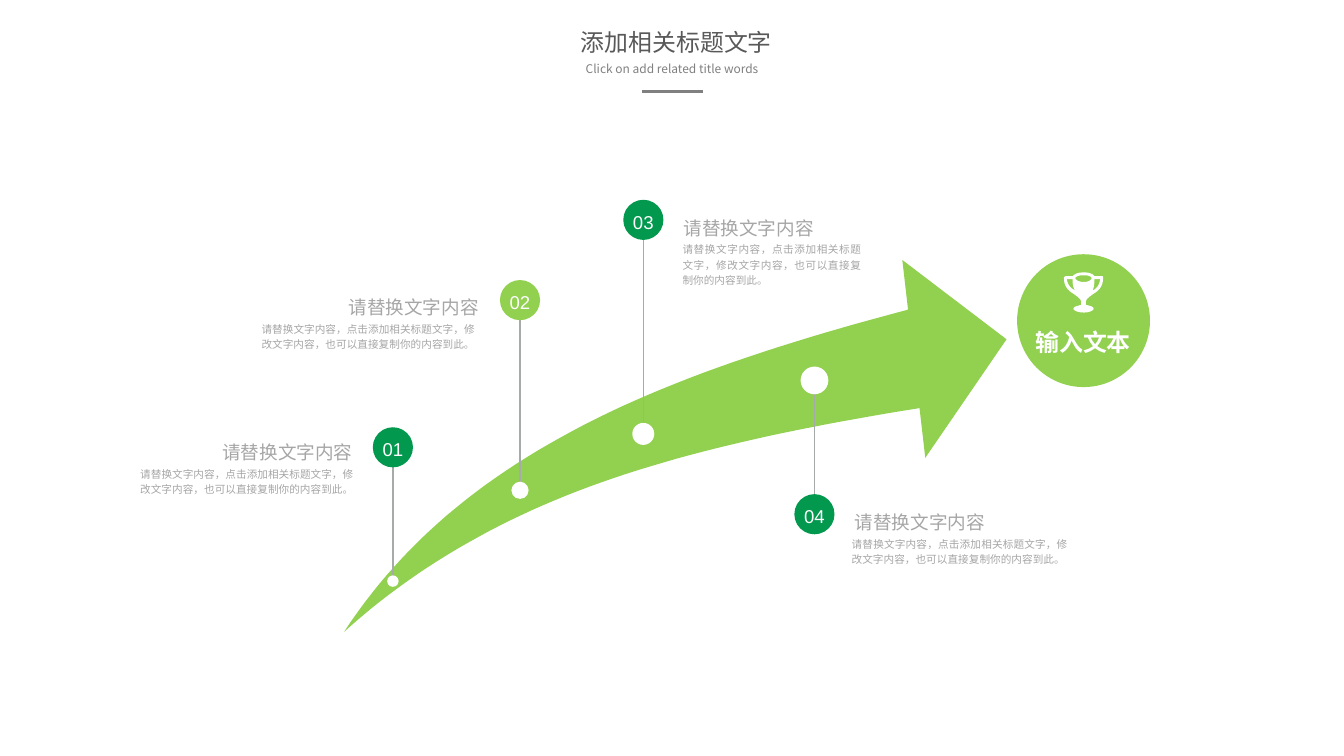
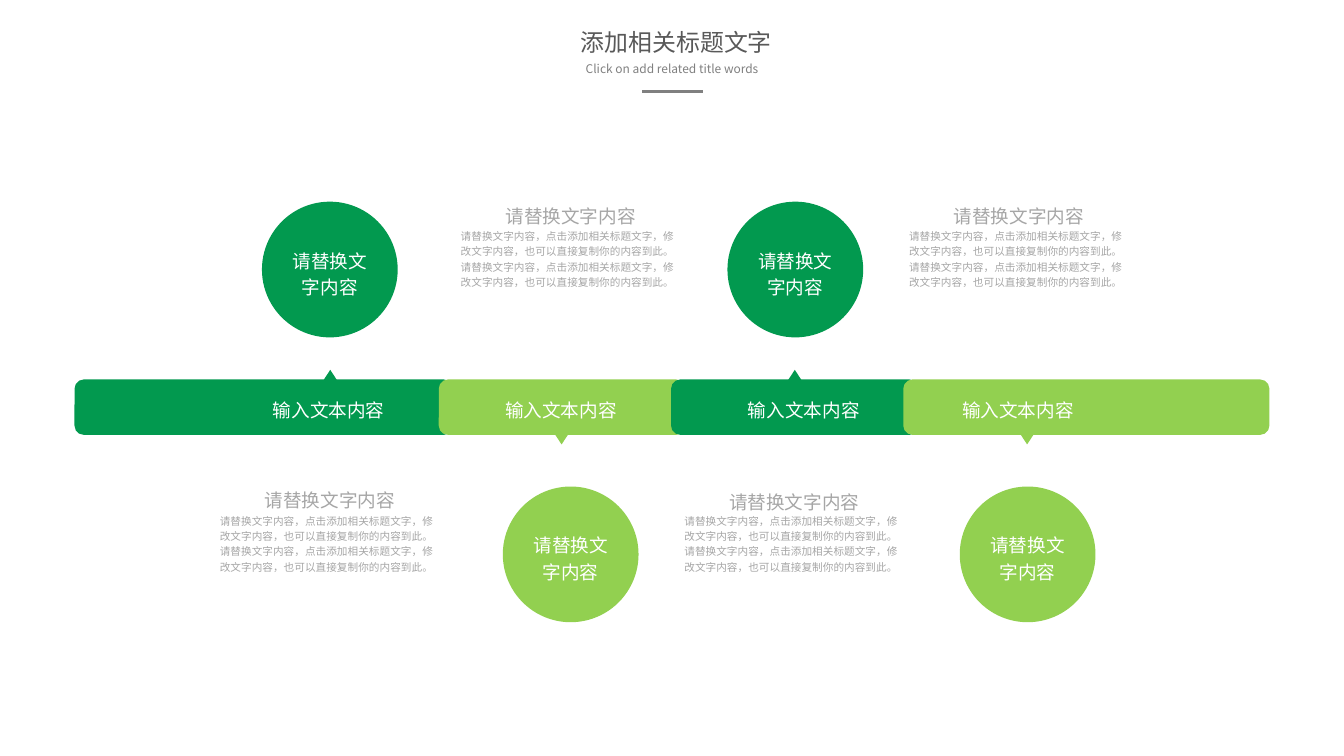
import pptx
import pptx.dml.color
import pptx.enum.shapes
import pptx.enum.text
import pptx.oxml
import pptx.oxml.ns
import pptx.util

Inches = pptx.util.Inches
KIND = pptx.enum.shapes.MSO_SHAPE
LINE = pptx.enum.shapes.MSO_CONNECTOR.STRAIGHT
ALIGN = pptx.enum.text.PP_ALIGN
ANCHOR = pptx.enum.text.MSO_ANCHOR
FIT = pptx.enum.text.MSO_AUTO_SIZE
CJK = "Noto Sans CJK SC"
HEX = {
    "dark": "02994F", "light": "92D050", "white": "FFFFFF", "pale": "FCFCFC",
    "text": "A6A6A6", "stem": "A6AAA9", "title": "595959", "sub": "808080",
}
HEAD = "请替换文字内容"
BODY = "请替换文字内容，点击添加相关标题文字，修改文字内容，也可以直接复制你的内容到此。"


def write(shape, text, size=14, color="text", align=ALIGN.LEFT, font="Arial",
          bold=False, anchor=ANCHOR.TOP, space=1.2, pad=(0, 0, 0, 0), grow=True):
    """Fill a shape with one formatted paragraph; pad is left, top, right, bottom."""
    frame = shape.text_frame
    frame.word_wrap = True
    frame.auto_size = FIT.SHAPE_TO_FIT_TEXT if grow else FIT.NONE
    frame.vertical_anchor = anchor
    frame.margin_left, frame.margin_top, frame.margin_right, frame.margin_bottom = map(Inches, pad)
    para = frame.paragraphs[0]
    para.alignment, para.line_spacing = align, space
    run = para.add_run()
    run.text = text
    run.font.name, run.font.size, run.font.bold = font, pptx.util.Pt(size), bold
    run.font.color.rgb = pptx.dml.color.RGBColor.from_string(HEX[color])
    east = pptx.oxml.parse_xml(f'<a:ea {pptx.oxml.ns.nsdecls("a")} typeface="{CJK}"/>')
    run.font._element.find(pptx.oxml.ns.qn("a:latin")).addnext(east)


def paint(shape, color, width=None):
    """Colour a line when a width is given, else fill a shape; no shadow."""
    rgb = pptx.dml.color.RGBColor.from_string(HEX[color])
    if width:
        shape.line.color.rgb = rgb
        shape.line.width = pptx.util.Pt(width)
        flat = pptx.oxml.parse_xml(f'<a:effectLst {pptx.oxml.ns.nsdecls("a")}/>')
        shape._element.spPr.append(flat)
    else:
        shape.shadow.inherit = False
        shape.fill.solid()
        shape.fill.fore_color.rgb = rgb
        shape.line.fill.background()
    return shape


deck = pptx.Presentation()
deck.slide_width, deck.slide_height = Inches(14.06), Inches(7.91)

# Shared heading
for _ in range(2):
    slide = deck.slides.add_slide(deck.slide_layouts[5])
    title = slide.shapes.title
    title.left, title.top, title.width, title.height = map(Inches, (5.85, 0.25, 2.45, 0.4))
    edge = (0.07, 0.04, 0.07, 0.04)
    write(title, "添加相关标题文字", size=18, color="title", align=ALIGN.CENTER,
          font=CJK, space=1.0, pad=edge)
    sub = slide.shapes.add_textbox(*map(Inches, (5.85, 0.6, 2.36, 0.23)))
    write(sub, "Click on add related title words", size=9, color="sub",
          align=ALIGN.CENTER, font=CJK, space=1.0, pad=edge)
    rule = slide.shapes.add_connector(LINE, *map(Inches, (6.72, 0.96, 7.35, 0.96)))
    paint(rule, "sub", width=2.25)

# Slide 1: rising arrow with four steps
shapes = deck.slides[0].shapes
goal = shapes.add_shape(KIND.OVAL, *map(Inches, (10.64, 2.66, 1.39, 1.39)))
paint(goal, "light")

# A contour is a start point, then segments of one point (line) or three (curve)
arrow = [[
    (3.6, 6.61),
    [(4.15, 5.77), (4.9, 5.11), (5.86, 4.58)], [(6.84, 4.03), (8.06, 3.62), (9.5, 3.24)],
    [(9.44, 2.72)], [(10.53, 3.55)], [(9.68, 4.79)], [(9.62, 4.27)],
    [(8.3, 4.48), (7.15, 4.73), (6.17, 5.09)], [(5.17, 5.46), (4.32, 5.96), (3.6, 6.61)],
]]
cup = [
    [(11.16, 2.92), [(11.22, 2.92)], [(11.22, 2.98), (11.23, 3.02), (11.25, 3.04)],
     [(11.21, 3.02), (11.17, 2.99), (11.16, 2.92)]],
    [(11.34, 2.88), [(11.4, 2.88), (11.42, 2.9), (11.42, 2.91)],
     [(11.42, 2.92), (11.4, 2.95), (11.34, 2.95)],
     [(11.27, 2.95), (11.25, 2.92), (11.25, 2.91)],
     [(11.25, 2.9), (11.27, 2.88), (11.34, 2.88)]],
    [(11.43, 3.04), [(11.44, 3.02), (11.45, 2.98), (11.45, 2.92)], [(11.51, 2.92)],
     [(11.5, 2.99), (11.47, 3.02), (11.43, 3.04)]],
    [(11.36, 3.16), [(11.36, 3.13), (11.39, 3.11), (11.43, 3.08)],
     [(11.48, 3.05), (11.54, 3.01), (11.54, 2.91)],
     [(11.54, 2.9), (11.54, 2.89), (11.53, 2.89)], [(11.45, 2.89)],
     [(11.44, 2.87), (11.4, 2.85), (11.34, 2.85)],
     [(11.27, 2.85), (11.24, 2.87), (11.22, 2.89)], [(11.15, 2.89)],
     [(11.14, 2.89), (11.13, 2.9), (11.13, 2.91)],
     [(11.13, 3.01), (11.19, 3.05), (11.24, 3.08)],
     [(11.28, 3.11), (11.31, 3.13), (11.31, 3.16)], [(11.31, 3.19)],
     [(11.27, 3.2), (11.23, 3.21), (11.23, 3.23)],
     [(11.23, 3.25), (11.28, 3.27), (11.34, 3.27)],
     [(11.39, 3.27), (11.44, 3.25), (11.44, 3.23)],
     [(11.44, 3.21), (11.41, 3.2), (11.36, 3.19)]],
]
UNIT = 1000  # freeform units per inch
for outline, color, count in ((arrow, "light", 24), (cup, "white", 8)):
    pen = None
    for start, *parts in outline:
        dots, last = [], start
        for part in parts:
            if len(part) == 1:
                dots += part
            else:
                for step in range(1, count + 1):
                    t = step / count
                    mix = ((1 - t) ** 3, 3 * t * (1 - t) ** 2, 3 * t * t * (1 - t), t ** 3)
                    dots.append([sum(m * v for m, v in zip(mix, axis))
                                 for axis in zip(last, *part)])
            last = part[-1]
        x, y = (v * UNIT for v in start)
        if pen is None:
            pen = shapes.build_freeform(x, y, scale=Inches(1) / UNIT)
        else:
            pen.move_to(x, y)
        pen.add_line_segments([(a * UNIT, b * UNIT) for a, b in dots], close=True)
    paint(pen.convert_to_shape(), color)

label = shapes.add_textbox(*map(Inches, (10.82, 3.33, 1.02, 0.41)))
write(label, "输入文本", size=18, color="white", bold=True, align=ALIGN.CENTER,
      anchor=ANCHOR.MIDDLE, space=1.3, grow=False)

# centre x, badge y, dot y, dot size, colour, head left, head top, body left, body width, aligns
steps = [
    (4.11, 4.68, 6.08, 0.12, "dark", 2.09, 4.57, 1.44, 2.26, ALIGN.RIGHT, ALIGN.RIGHT),
    (5.44, 3.14, 5.13, 0.18, "light", 3.41, 3.05, 2.71, 2.26, ALIGN.RIGHT, ALIGN.RIGHT),
    (6.73, 2.3, 4.54, 0.23, "dark", 7.15, 2.22, 7.14, 1.87, ALIGN.LEFT, ALIGN.JUSTIFY),
    (8.52, 5.38, 3.98, 0.29, "dark", 8.94, 5.3, 8.91, 2.26, ALIGN.LEFT, ALIGN.JUSTIFY),
]
for num, step in enumerate(steps, 1):
    x, y, end, size, color, left, top, side, width, near, flow = step
    stem = shapes.add_connector(LINE, *map(Inches, (x, y, x, end)))
    paint(stem, "stem", width=1)
    for mid, wide, tint in ((end, size, "white"), (y, 0.42, color)):
        box = (x - wide / 2, mid - wide / 2, wide, wide)
        badge = paint(shapes.add_shape(KIND.OVAL, *map(Inches, box)), tint)
    write(badge, f"{num:02}", color="pale", align=ALIGN.CENTER,
          anchor=ANCHOR.MIDDLE, grow=False)
    head = shapes.add_textbox(*map(Inches, (left, top, 1.6, 0.28)))
    write(head, HEAD, align=near, anchor=ANCHOR.MIDDLE)
    body = shapes.add_textbox(*map(Inches, (side, top + 0.3, width, 0.32)))
    write(body, BODY, size=8, align=flow)

# Slide 2: band of four stages, pointing up and down in turn
shapes = deck.slides[1].shapes
# bar left, bar width, tip left, disc left, label left, body left, head top
stages = [
    (0.78, 3.96, 3.37, 2.74, 2.64, 2.3, 5.07),
    (4.59, 2.58, 5.79, 5.26, 5.07, 4.82, 2.1),
    (7.02, 2.59, 8.23, 7.61, 7.61, 7.16, 5.09),
    (9.45, 3.83, 10.66, 10.04, 9.85, 9.51, 2.1),
]
for num, (left, width, tip, disc, name, side, top) in enumerate(stages):
    down = num % 2 == 1
    color = "light" if down else "dark"
    bar = shapes.add_shape(KIND.ROUNDED_RECTANGLE, *map(Inches, (left, 3.97, width, 0.58)))
    paint(bar, color)
    box = (tip, 4.52 if down else 3.87, 0.17, 0.13)
    point = paint(shapes.add_shape(KIND.ISOSCELES_TRIANGLE, *map(Inches, box)), color)
    point.rotation = 180 if down else 0
    box = (disc, 5.09 if down else 2.11, 1.42, 1.42)
    ball = paint(shapes.add_shape(KIND.OVAL, *map(Inches, box)), color)
    write(ball, HEAD, color="white", align=ALIGN.CENTER, anchor=ANCHOR.MIDDLE,
          pad=(0.08, 0.05, 0.08, 0), grow=False)
    label = shapes.add_textbox(*map(Inches, (name, 4.13, 1.6, 0.28)))
    write(label, "输入文本内容", color="white", align=ALIGN.CENTER)
    head = shapes.add_textbox(*map(Inches, (side + 0.35, top, 1.6, 0.28)))
    write(head, HEAD, align=ALIGN.CENTER)
    body = shapes.add_textbox(*map(Inches, (side, 5.36 if not down else 2.38, 2.3, 0.65)))
    write(body, BODY * 2, size=8)

deck.save("out.pptx")
